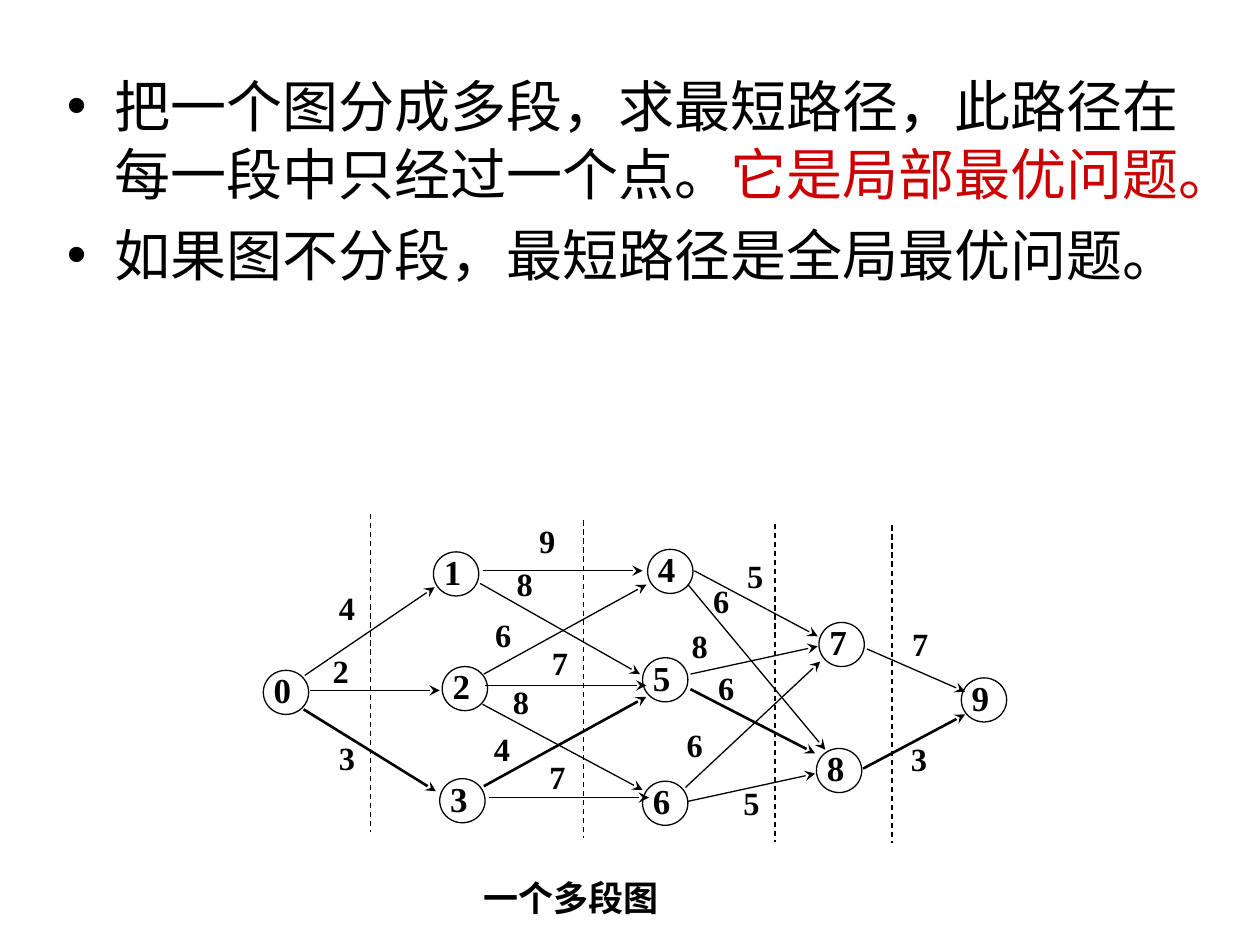
from pptx import Presentation
from pptx.dml.color import RGBColor
from pptx.enum.dml import MSO_LINE_DASH_STYLE as Dash
from pptx.enum.shapes import MSO_CONNECTOR, MSO_SHAPE
from pptx.enum.text import MSO_ANCHOR, MSO_AUTO_SIZE, PP_ALIGN
from pptx.oxml.ns import qn
from pptx.util import Inches, Pt
from lxml.etree import SubElement

FONT = "Times New Roman"
COLORS = {"black": "000000", "red": "CC0000"}
THIN, THICK = 0.75, 1.5

# Bullets as lists of (text, colour) runs
BULLETS = [
    [("把一个图分成多段，求最短路径，此路径在每一段中只经过一个点。", "black"),
     ("它是局部最优问题。", "red")],
    [("如果图不分段，最短路径是全局最优问题。", "black")],
]
CAPTION = "一个多段图"

# Node number: left, top
NODE_WIDTH, NODE_HEIGHT = 0.36, 0.35
NODES = {
    0: (2.09, 5.32),
    1: (3.44, 4.38), 2: (3.51, 5.29), 3: (3.49, 6.18),
    4: (5.14, 4.36), 5: (5.1, 5.22), 6: (5.1, 6.2),
    7: (6.5, 4.94), 8: (6.48, 5.94),
    9: (7.63, 5.38),
}

# Start point, end point, line width, weight, position of the weight
EDGES = [
    ((2.42, 5.36), (3.45, 4.66), THIN, 4, (2.69, 4.75)),
    ((2.46, 5.48), (3.49, 5.48), THIN, 2, (2.64, 5.25)),
    ((2.41, 5.63), (3.46, 6.28), THICK, 3, (2.69, 5.94)),
    ((3.83, 4.53), (5.1, 4.53), THIN, 9, (4.28, 4.22)),
    ((3.81, 4.63), (5.08, 5.35), THIN, 8, (4.1, 4.56)),
    ((3.84, 5.35), (5.13, 4.64), THIN, 6, (3.93, 4.97)),
    ((3.85, 5.44), (5.13, 5.44), THIN, 7, (4.38, 5.19)),
    ((3.83, 5.59), (5.1, 6.27), THIN, 8, (4.07, 5.5)),
    ((3.84, 6.24), (5.13, 5.53), THICK, 4, (3.92, 5.87)),
    ((3.88, 6.33), (5.15, 6.33), THIN, 7, (4.36, 6.09)),
    ((5.51, 4.53), (6.49, 5.05), THIN, 5, (5.93, 4.5)),
    ((5.46, 4.64), (6.55, 5.95), THIN, 6, (5.66, 4.7)),
    ((5.48, 5.35), (6.49, 5.13), THIN, 8, (5.49, 5.05)),
    ((5.48, 5.47), (6.47, 5.98), THICK, 6, (5.7, 5.39)),
    ((5.44, 6.25), (6.51, 5.25), THIN, 6, (5.45, 5.84)),
    ((5.46, 6.36), (6.47, 6.14), THIN, 5, (5.9, 6.3)),
    ((6.88, 5.15), (7.66, 5.49), THIN, 7, (7.24, 5.04)),
    ((6.85, 6.1), (7.66, 5.67), THICK, 3, (7.23, 5.95)),
]

# Stage dividers: x, top
DIVIDERS = [(2.94, 4.08), (4.63, 4.13), (6.15, 4.16), (7.08, 4.17)]
DIVIDER_LENGTH = 2.52


def color(name):
    return RGBColor.from_string(COLORS[name])


def format_run(run, size, color_name="black", bold=False):
    run.font.name = FONT
    run.font.size = Pt(size)
    run.font.bold = bold
    run.font.color.rgb = color(color_name)


def set_text(shape, text, size, spacing, left_margin=0):
    frame = shape.text_frame
    frame.word_wrap = True
    frame.vertical_anchor = MSO_ANCHOR.TOP
    frame.margin_left = Inches(left_margin)
    frame.margin_top = frame.margin_right = frame.margin_bottom = 0
    frame.text = text
    paragraph = frame.paragraphs[0]
    paragraph.alignment = PP_ALIGN.JUSTIFY
    paragraph.line_spacing = spacing
    format_run(paragraph.runs[0], size, bold=True)


def add_line(shapes, start, end, width):
    line = shapes.add_connector(
        MSO_CONNECTOR.STRAIGHT, *(Inches(value) for value in (*start, *end)))
    line.line.color.rgb = color("black")
    line.line.width = Pt(width)
    SubElement(line._element.spPr, qn("a:effectLst"))
    return line


def add_label(shapes, position, width, height, text, size, spacing, indent=0):
    box = shapes.add_textbox(
        *(Inches(value) for value in (*position, width, height)))
    set_text(box, text, size, spacing, indent)


presentation = Presentation()
presentation.slide_width = Inches(10)
presentation.slide_height = Inches(7.5)
slide = presentation.slides.add_slide(presentation.slide_layouts[1])

# This slide has no title
title = slide.shapes.title._element
title.getparent().remove(title)

# Bulleted text
body = slide.placeholders[1]
body.left, body.top = Inches(0.43), Inches(0.52)
body.width, body.height = Inches(9.21), Inches(2.76)
body.text_frame.auto_size = MSO_AUTO_SIZE.NONE
for index, runs in enumerate(BULLETS):
    frame = body.text_frame
    paragraph = frame.add_paragraph() if index else frame.paragraphs[0]
    paragraph.space_before = Pt(8)
    for text, color_name in runs:
        run = paragraph.add_run()
        run.text = text
        format_run(run, 32, color_name)

# Graph nodes
graph = slide.shapes.add_group_shape().shapes
for number, (left, top) in NODES.items():
    node = graph.add_shape(MSO_SHAPE.OVAL, Inches(left), Inches(top),
                           Inches(NODE_WIDTH), Inches(NODE_HEIGHT))
    node.shadow.inherit = False
    node.fill.background()
    node.line.color.rgb = color("black")
    node.line.width = Pt(THIN)
    set_text(node, str(number), 20, 0.8, left_margin=0.03)

# Weighted edges
for start, end, width, weight, position in EDGES:
    edge = add_line(graph, start, end, width)
    SubElement(edge.line._get_or_add_ln(), qn("a:tailEnd"), type="stealth")
    add_label(graph, position, 0.2, 0.23, str(weight), 18.5, 0.7)

# Stage dividers
for x, top in DIVIDERS:
    divider = add_line(graph, (x, top), (x, top + DIVIDER_LENGTH), THIN)
    divider.line.dash_style = Dash.DASH

# Caption
add_label(graph, (3.46, 7.02), 3, 0.27, CAPTION, 20, 0.8, indent=0.38)

presentation.save("out.pptx")
